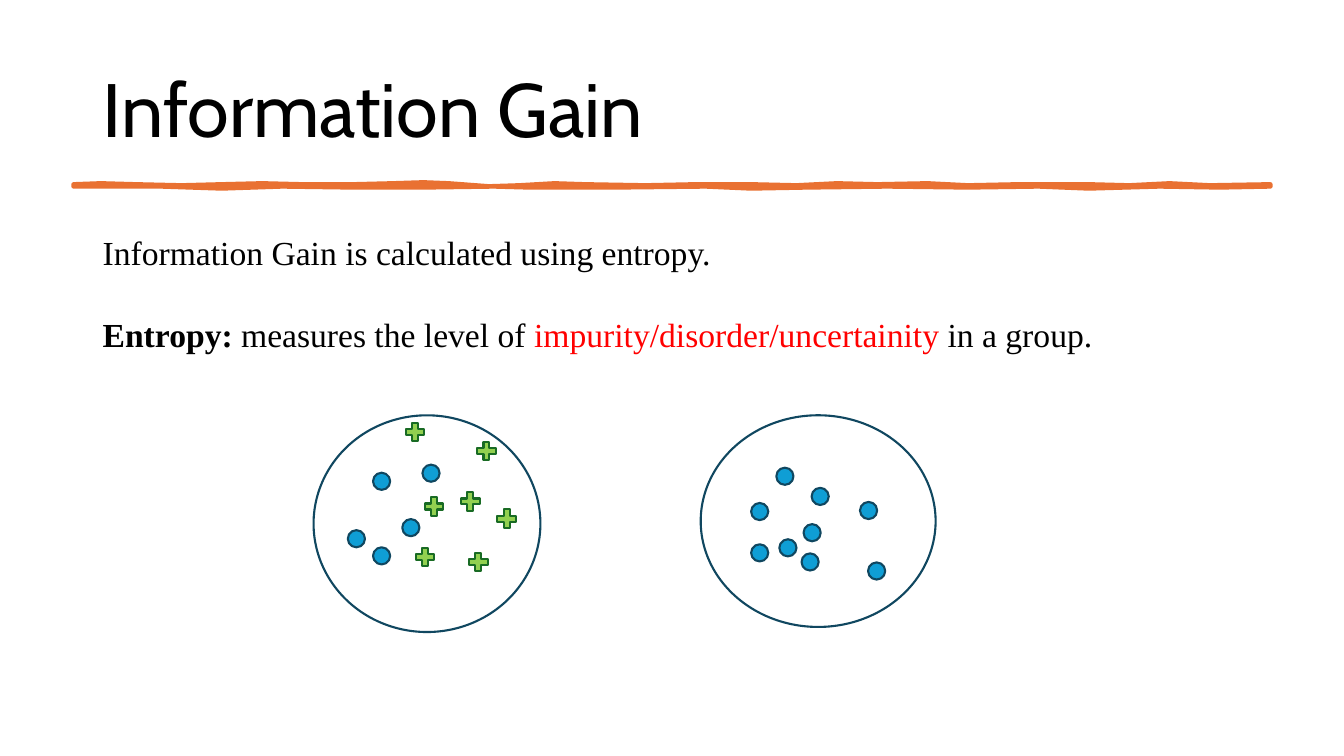
import pptx
import pptx.dml.color
import pptx.enum.shapes
import pptx.enum.text
import pptx.util

RGBColor = pptx.dml.color.RGBColor
Pt = pptx.util.Pt
SHAPE = pptx.enum.shapes.MSO_SHAPE

PX = 9144  # EMU; 100 px to the inch

BLACK = RGBColor(0x00, 0x00, 0x00)
RED = RGBColor(0xFF, 0x00, 0x00)
ORANGE = RGBColor(0xE9, 0x71, 0x32)
BLUE = RGBColor(0x0F, 0x9E, 0xD5)
NAVY = RGBColor(0x10, 0x47, 0x60)
LIME = RGBColor(0x92, 0xD0, 0x50)
GREEN = RGBColor(0x19, 0x6B, 0x24)

DOT_SIZE = 17
PLUS_SIZE = 25

MIXED_CIRCLE = (311, 412, 225, 215)
MIXED_DOTS = [(370, 469), (345, 526), (370, 543), (399, 515), (419, 461)]
MIXED_PLUSES = [(399, 416), (470, 435), (418, 490), (409, 540),
                (454, 485), (462, 545), (490, 502)]
PURE_CIRCLE = (695, 412, 233, 210)
PURE_DOTS = [(745, 499), (745, 540), (805, 484), (795, 549), (861, 558),
             (853, 498), (770, 464), (797, 520), (773, 535)]

RULE_TOP = [(73, 183), (100, 182), (135, 183), (180, 184), (220, 183),
            (260, 182), (300, 183), (350, 183), (390, 182), (420, 181),
            (445, 182), (485, 185), (515, 184), (550, 182), (580, 183),
            (640, 184), (690, 183), (745, 183), (790, 184), (830, 182),
            (870, 183), (920, 182), (960, 184), (1010, 183), (1080, 183),
            (1120, 184), (1160, 182), (1200, 184), (1260, 183)]
RULE_BOTTOM = [(1260, 185), (1210, 186), (1150, 185), (1080, 187), (1030, 185),
               (960, 186), (880, 185), (800, 186), (745, 187), (700, 185),
               (610, 186), (525, 186), (490, 185), (420, 186), (350, 186),
               (280, 185), (220, 187), (160, 185), (73, 185)]


def box_emu(*lengths):
    return [length * PX for length in lengths]


def paint(shape, fill, line, weight):
    """Give a shape a flat fill (None for no fill) and an outline."""
    shape.shadow.inherit = False
    if fill is None:
        shape.fill.background()
    else:
        shape.fill.solid()
        shape.fill.fore_color.rgb = fill
    shape.line.color.rgb = line
    shape.line.width = Pt(weight)


def style_span(span, font, size, color=BLACK, bold=False):
    span.font.name = font
    span.font.size = Pt(size)
    span.font.color.rgb = color
    span.font.bold = bold


def add_title(page, text):
    title = page.shapes.title
    title.left, title.top, title.width, title.height = box_emu(92, 40, 1150, 145)
    frame = title.text_frame
    frame.text = text
    frame.auto_size = pptx.enum.text.MSO_AUTO_SIZE.NONE
    frame.vertical_anchor = pptx.enum.text.MSO_ANCHOR.MIDDLE
    para = frame.paragraphs[0]
    para.alignment = pptx.enum.text.PP_ALIGN.LEFT
    para.line_spacing = 0.9
    style_span(para.runs[0], "Cabin", 54)


def add_wavy_rule(page):
    builder = page.shapes.build_freeform(*RULE_TOP[0], scale=PX)
    builder.add_line_segments(RULE_TOP[1:] + RULE_BOTTOM, close=True)
    paint(builder.convert_to_shape(), ORANGE, ORANGE, 3.25)


def add_definition(page):
    box = page.shapes.add_textbox(*box_emu(92, 225, 1126, 131))
    frame = box.text_frame
    frame.word_wrap = True
    frame.text = "Information Gain is calculated using entropy."
    style_span(frame.paragraphs[0].runs[0], "Times New Roman", 24)

    para = frame.add_paragraph()
    para.space_before = Pt(29.5)
    for text, color, bold in [
        ("Entropy: ", BLACK, True),
        ("measures the level of ", BLACK, False),
        ("impurity/disorder/uncertainity", RED, False),
        (" in a group.", BLACK, False),
    ]:
        span = para.add_run()
        span.text = text
        style_span(span, "Times New Roman", 24, color, bold)


def add_sample_group(page, circle, dots, pluses=()):
    """Draw a circle holding blue dots and green pluses as one group."""
    group = page.shapes.add_group_shape()
    outline = group.shapes.add_shape(SHAPE.OVAL, *box_emu(*circle))
    paint(outline, None, NAVY, 1.5)
    for kind, places, size, fill, line in [
        (SHAPE.OVAL, dots, DOT_SIZE, BLUE, NAVY),
        (SHAPE.MATH_PLUS, pluses, PLUS_SIZE, LIME, GREEN),
    ]:
        for left, top in places:
            mark = group.shapes.add_shape(kind, *box_emu(left, top, size, size))
            paint(mark, fill, line, 1.5)


def main():
    deck = pptx.Presentation()
    deck.slide_width, deck.slide_height = box_emu(1333, 750)
    page = deck.slides.add_slide(deck.slide_layouts.get_by_name("Title Only"))
    add_wavy_rule(page)
    add_title(page, "Information Gain")
    add_definition(page)
    add_sample_group(page, PURE_CIRCLE, PURE_DOTS)
    add_sample_group(page, MIXED_CIRCLE, MIXED_DOTS, MIXED_PLUSES)
    deck.save("out.pptx")


if __name__ == "__main__":
    main()
